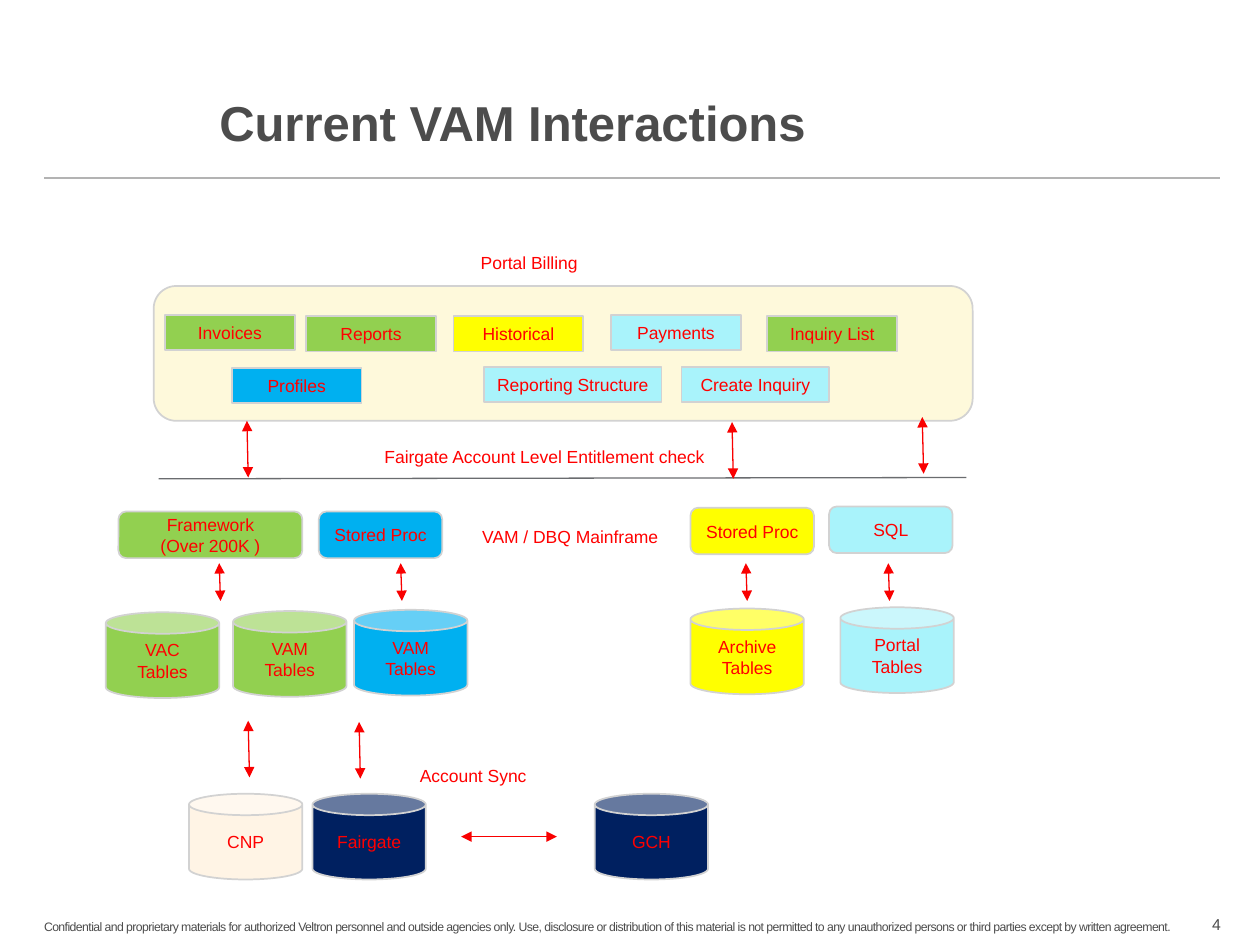
from dataclasses import dataclass

from lxml.etree import SubElement
from pptx import Presentation
from pptx.dml.color import RGBColor
from pptx.enum.shapes import MSO_CONNECTOR, MSO_SHAPE
from pptx.enum.text import MSO_ANCHOR, MSO_AUTO_SIZE, PP_ALIGN
from pptx.oxml.ns import qn
from pptx.util import Emu, Pt

PX = 9144  # 100 px to the inch


@dataclass(frozen=True)
class Theme:
    font: str = "Arial"
    grey: str = "4C4C4C"
    rule: str = "B3B3B3"
    divider: str = "6A6C6F"
    border: str = "D2D2D2"
    label: str = "FF0000"
    arrow: str = "F90000"
    white: str = "FFFFFF"
    panel: str = "FEF9DB"
    green: str = "92D050"
    blue: str = "00B0F0"
    yellow: str = "FFFF00"
    aqua: str = "A9F3FB"
    navy: str = "002060"
    cream: str = "FFF4E5"
    title_size: int = 28
    label_size: int = 10
    number_size: int = 9
    notice_size: int = 7


THEME = Theme()


def px(*lengths):
    return [Emu(length * PX) for length in lengths]


def write(shape, text, size, color, align, anchor, bold=False, wrap=True, inset=None):
    frame = shape.text_frame
    frame.text = text
    frame_format = {"auto_size": MSO_AUTO_SIZE.NONE, "word_wrap": wrap,
                    "vertical_anchor": anchor}
    if inset is not None:
        for side in ("left", "top", "right", "bottom"):
            frame_format[f"margin_{side}"] = inset
    for name, value in frame_format.items():
        setattr(frame, name, value)
    for paragraph in frame.paragraphs:
        paragraph.alignment = align
        for run in paragraph.runs:
            for name, value in {"name": THEME.font, "size": Pt(size), "bold": bold}.items():
                setattr(run.font, name, value)
            run.font.color.rgb = RGBColor.from_string(color)


def add_box(slide, kind, box, fill, text="", border=True):
    shape = slide.shapes.add_shape(kind, *px(*box))
    shape.shadow.inherit = False
    shape.fill.solid()
    shape.fill.fore_color.rgb = RGBColor.from_string(fill)
    if border:
        shape.line.color.rgb = RGBColor.from_string(THEME.border)
        shape.line.width = Pt(1)
    else:
        shape.line.fill.background()
    if text:
        write(shape, text, THEME.label_size, THEME.label, PP_ALIGN.CENTER, MSO_ANCHOR.MIDDLE)


def add_label(slide, box, text):
    add_box(slide, MSO_SHAPE.RECTANGLE, box, THEME.white, text, border=False)


def add_line(slide, start, end, color, width, arrows=False):
    line = slide.shapes.add_connector(MSO_CONNECTOR.STRAIGHT, *px(*start, *end))
    line.line.color.rgb = RGBColor.from_string(color)
    line.line.width = Pt(width)
    if arrows:
        outline = line.line._get_or_add_ln()
        for end_name in ("a:headEnd", "a:tailEnd"):
            SubElement(outline, qn(end_name), type="triangle")
    SubElement(line._element.spPr, qn("a:effectLst"))


def add_arrow(slide, x, y, height):
    """Double-headed arrow with the slight rightward lean shared by all links."""
    add_line(slide, (x, y), (x + 1, y + height), THEME.arrow, 0.75, arrows=True)


def add_can(slide, x, y, fill, text):
    add_box(slide, MSO_SHAPE.CAN, (x, y, 90, 68), fill, text)


def add_header(slide, left, top, width):
    title = slide.shapes.title
    title_box = px(left + 139, top, width - 139, 97)
    for name, value in zip(("left", "top", "width", "height"), title_box):
        setattr(title, name, value)
    write(title, "Current VAM Interactions", THEME.title_size, THEME.grey,
          PP_ALIGN.LEFT, MSO_ANCHOR.BOTTOM, bold=True, inset=0)
    add_line(slide, (left, top + 118), (left + width, top + 118), THEME.rule, 1)


def add_portal(slide, left, top, width, height):
    add_label(slide, (left + 238, top - 34, 120, 31), "Portal Billing")
    add_box(slide, MSO_SHAPE.ROUNDED_RECTANGLE, (left, top, width, height), THEME.panel)
    functions = (
        (9, 23, 103, THEME.green, "Invoices"),
        (121, 24, 103, THEME.green, "Reports"),
        (238, 24, 103, THEME.yellow, "Historical"),
        (363, 23, 103, THEME.aqua, "Payments"),
        (487, 24, 103, THEME.green, "Inquiry List"),
        (62, 65, 103, THEME.blue, "Profiles"),
        (262, 64, 141, THEME.aqua, "Reporting Structure"),
        (419, 64, 117, THEME.aqua, "Create Inquiry"),
    )
    for x, y, box_width, fill, text in functions:
        add_box(slide, MSO_SHAPE.RECTANGLE, (left + x, top + y, box_width, 28), fill, text)


def add_entitlement(slide, left, top, width, height):
    add_line(slide, (left, top + height), (left + width, top + height - 1),
             THEME.divider, 0.75)
    add_label(slide, (left + 150, top + 16, 312, 31),
              "Fairgate Account Level Entitlement check")
    for x, y in ((70, 3), (455, 4), (606, 0)):
        add_arrow(slide, left + x, top + y, 45)


def add_mainframe(slide, left, top):
    add_label(slide, (left + 285, top + 8, 167, 31), "VAM / DBQ Mainframe")
    access = (
        (10, 4, 146, THEME.green, "Framework\v(Over 200K )"),
        (169, 4, 98, THEME.blue, "Stored Proc"),
        (464, 1, 98, THEME.yellow, "Stored Proc"),
        (574, 0, 98, THEME.aqua, "SQL"),
    )
    for x, y, width, fill, text in access:
        add_box(slide, MSO_SHAPE.ROUNDED_RECTANGLE, (left + x, top + y, width, 37), fill, text)
    for x in (90, 234, 508, 621):
        add_arrow(slide, left + x, top + 45, 30)
    tables = (
        (0, 84, THEME.green, "VAC Tables"),
        (101, 83, THEME.green, "VAM Tables"),
        (197, 82, THEME.blue, "VAM Tables"),
        (464, 81, THEME.yellow, "Archive Tables"),
        (583, 80, THEME.aqua, "Portal Tables"),
    )
    for x, y, fill, text in tables:
        add_can(slide, left + x, top + y, fill, text)


def add_account_sync(slide, left, top):
    add_label(slide, (left + 142, top + 28, 167, 31), "Account Sync")
    for x, y in ((47, 0), (135, 1)):
        add_arrow(slide, left + x, top + y, 45)
    stores = ((0, THEME.cream, "CNP"), (98, THEME.navy, "Fairgate"), (322, THEME.navy, "GCH"))
    for x, fill, text in stores:
        add_can(slide, left + x, top + 58, fill, text)
    add_line(slide, (left + 216, top + 92), (left + 292, top + 92), THEME.arrow, 0.75, arrows=True)


def add_footer(slide, left, top, width, height):
    notice = slide.shapes.add_textbox(*px(left, top, width - 30, height))
    write(notice, "Confidential and proprietary materials for authorized Veltron personnel and "
          "outside agencies only. Use, disclosure or distribution of this material is not "
          "permitted to any unauthorized persons or third parties except by written agreement.",
          THEME.notice_size, THEME.grey, PP_ALIGN.LEFT, MSO_ANCHOR.BOTTOM, wrap=False, inset=0)
    # Tightened letter spacing, in hundredths of a point
    notice.text_frame.paragraphs[0].runs[0].font._element.set("spc", "-30")
    number = slide.shapes.add_textbox(*px(left + width - 30, top, 30, height))
    write(number, "4", THEME.number_size, THEME.grey, PP_ALIGN.RIGHT,
          MSO_ANCHOR.BOTTOM, wrap=False, inset=0)


def main():
    presentation = Presentation()
    presentation.slide_width, presentation.slide_height = px(1000, 750)
    slide = presentation.slides.add_slide(presentation.slide_layouts[5])
    add_header(slide, 35, 23, 933)
    add_portal(slide, 122, 227, 650, 107)
    add_entitlement(slide, 126, 331, 641, 49)
    add_mainframe(slide, 84, 402)
    add_account_sync(slide, 150, 572)
    add_footer(slide, 35, 721, 934, 20)
    presentation.save("out.pptx")


if __name__ == "__main__":
    main()
